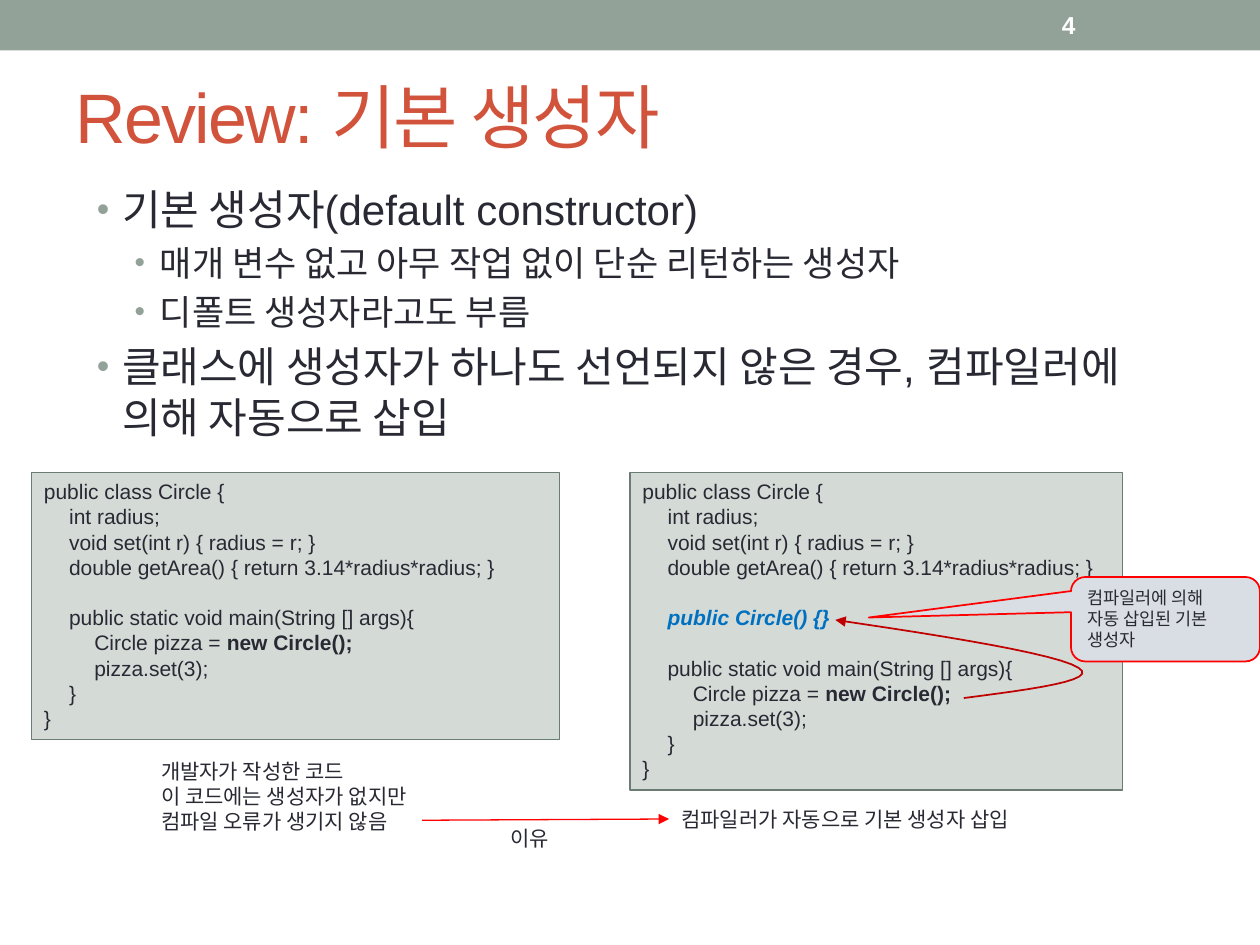
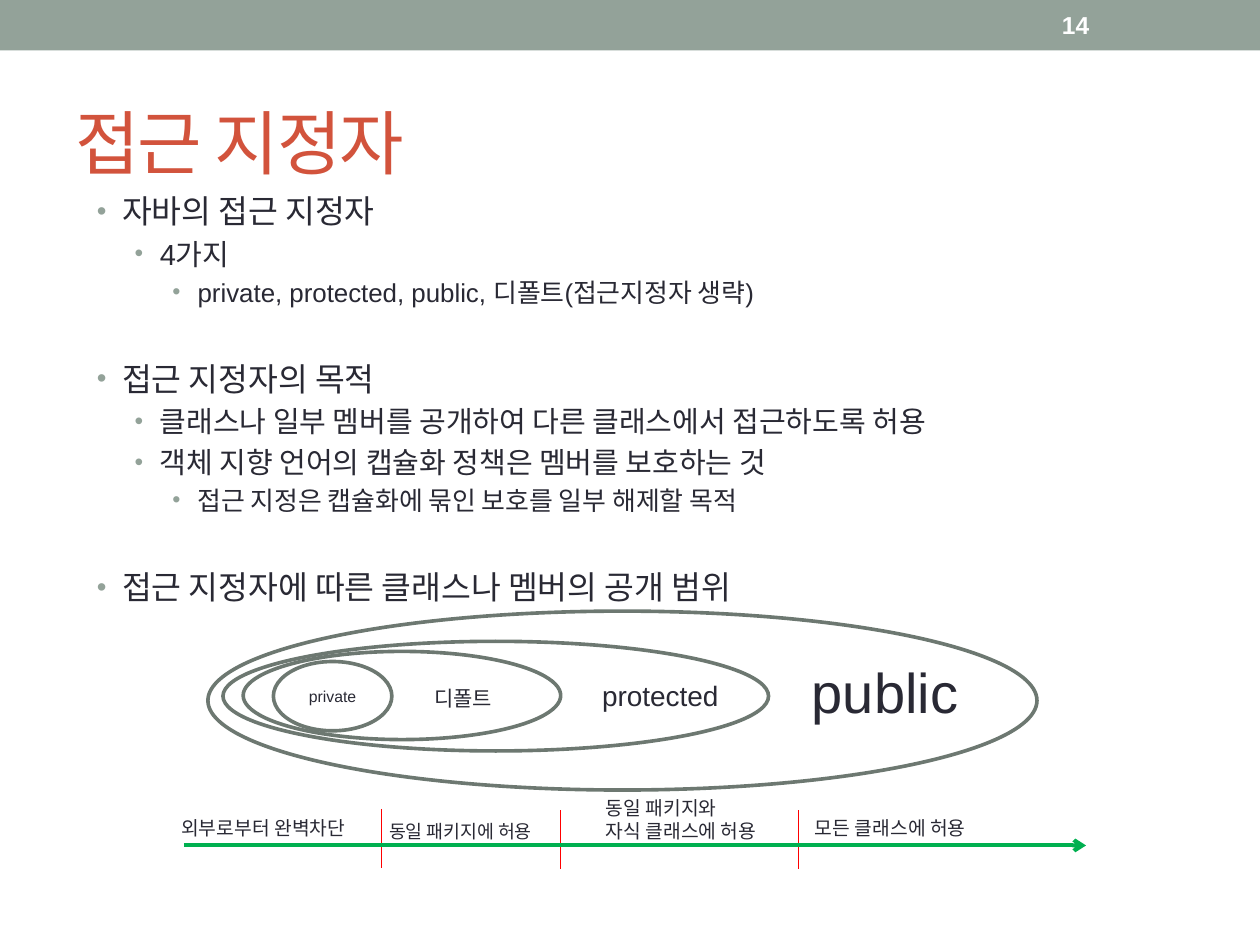
from dataclasses import dataclass

from lxml.etree import SubElement as Sub
from pptx import Presentation
from pptx.dml.color import RGBColor
from pptx.enum.shapes import MSO_CONNECTOR as Conn, MSO_SHAPE as Kind
from pptx.enum.text import MSO_ANCHOR as Anchor, MSO_AUTO_SIZE as Fit, PP_ALIGN as Align
from pptx.oxml.ns import qn
from pptx.util import Inches, Pt


@dataclass(frozen=True)
class Theme:
    font: str = "Arial"
    ink: str = "292934"
    title: str = "D2533C"
    band: str = "93A299"
    white: str = "FFFFFF"
    code: str = "D4DAD6"
    edge: str = "6B7D72"
    ring: str = "6D7871"
    note: str = "D9DEE4"
    red: str = "FF0000"
    dark: str = "C00000"
    blue: str = "0070C0"
    green: str = "00B050"
    head: float = 40
    num: float = 14
    text: float = 12
    small: float = 11
    tiny: float = 10
    lead: float = 1.2
    wide: tuple = (24, 20)
    dense: tuple = (18.5, 16.6, 14.8)


T = Theme()

# Code lines: depth, plain text, bold text, blank line above
FIELDS = [
    (0, "public class Circle {", "", False),
    (1, "int radius;", "", False),
    (1, "void set(int r) { radius = r; }", "", False),
    (1, "double getArea() { return 3.14*radius*radius; }", "", False),
]
MADE = [(1, "", "public Circle() {}", True)]
MAIN = [
    (1, "public static void main(String [] args){", "", True),
    (2, "Circle pizza = ", "new Circle();", False),
    (2, "pizza.set(3);", "", False),
    (1, "}", "", False),
    (0, "}", "", False),
]

# Bullets: level, text, blank line above
MAKER = [
    (0, "기본 생성자(default constructor)", False),
    (1, "매개 변수 없고 아무 작업 없이 단순 리턴하는 생성자", False),
    (1, "디폴트 생성자라고도 부름", False),
    (0, "클래스에 생성자가 하나도 선언되지 않은 경우, 컴파일러에 의해 자동으로 삽입", False),
]
ACCESS = [
    (0, "자바의 접근 지정자", False),
    (1, "4가지", False),
    (2, "private, protected, public, 디폴트(접근지정자 생략)", False),
    (0, "접근 지정자의 목적", True),
    (1, "클래스나 일부 멤버를 공개하여 다른 클래스에서 접근하도록 허용", False),
    (1, "객체 지향 언어의 캡슐화 정책은 멤버를 보호하는 것", False),
    (2, "접근 지정은 캡슐화에 묶인 보호를 일부 해제할 목적", False),
    (0, "접근 지정자에 따른 클래스나 멤버의 공개 범위", True),
]

RINGS = [
    (2.17, 5.25, 0.94, 0.55),
    (1.93, 5.17, 2.52, 0.7),
    (1.77, 5.09, 4.33, 0.87),
    (1.65, 4.85, 6.58, 1.42),
]
NAMES = [
    ((3.32, 5.39, 0.71, 0.3), "디폴트", 12),
    ((4.65, 5.34, 1.18, 0.37), "protected", 16),
    ((6.31, 5.17, 1.43, 0.64), "public", 32),
]
SCOPES = [
    ((1.34, 6.43, 1.64, 0.29), ["외부로부터 완벽차단"], T.small),
    ((2.99, 6.46, 1.49, 0.28), ["동일 패키지에 허용"], 10.5),
    ((4.71, 6.27, 1.54, 0.47), ["동일 패키지와", "자식 클래스에 허용"], T.small),
    ((6.37, 6.43, 1.54, 0.29), ["모든 클래스에 허용"], T.small),
]
TICKS = [(3.03, 6.42), (4.45, 6.43), (6.34, 6.43)]


def rgb(code):
    return RGBColor.from_string(code)


def inch(nums):
    return [Inches(n) for n in nums]


def para(frame, text, size, color=T.ink, bold=None):
    """Write into the first free paragraph of the frame."""
    p = frame.paragraphs[0]
    if p.runs:
        p = frame.add_paragraph()
    if text:
        p.add_run().text = text
    p.alignment = Align.LEFT
    p.line_spacing = Pt(round(size * T.lead, 1))
    font = p.font
    font.name, font.size, font.bold = T.font, Pt(size), bold
    font.color.rgb = rgb(color)
    return p


def text_box(slide, at):
    frame = slide.shapes.add_textbox(*inch(at)).text_frame
    frame.word_wrap = True
    return frame


def label(slide, at, lines, size=T.text, align=Align.LEFT):
    """Add text whose box hugs its lines."""
    box = slide.shapes.add_textbox(*inch(at))
    frame = box.text_frame
    frame.word_wrap, frame.auto_size = False, Fit.SHAPE_TO_FIT_TEXT
    for line in lines:
        para(frame, line, size).alignment = align
    return box


def stroke(item, color, width, tip=None):
    item.line.color.rgb = rgb(color)
    item.line.width = Pt(width)
    if tip:
        Sub(item.line._get_or_add_ln(), qn("a:tailEnd"), type=tip)


def shape(slide, kind, at, fill=None, edge=None, width=0.75):
    item = slide.shapes.add_shape(kind, *inch(at))
    item.shadow.inherit = False
    if fill:
        item.fill.solid()
        item.fill.fore_color.rgb = rgb(fill)
    else:
        item.fill.background()
    if edge:
        stroke(item, edge, width)
    else:
        item.line.fill.background()
    item.text_frame.vertical_anchor = Anchor.TOP
    return item


def link(slide, start, end, color, width=0.75, tip=None):
    item = slide.shapes.add_connector(Conn.STRAIGHT, *inch(start + end))
    stroke(item, color, width, tip)
    Sub(item._element.spPr, qn("a:effectLst"))
    return item


def curve(slide, knots, color, width, tip, steps=12):
    """Draw a chain of cubic Béziers that share their end points."""
    spots = [knots[0]]
    for i in range(0, len(knots) - 1, 3):
        for n in range(1, steps + 1):
            t = n / steps
            u = 1 - t
            mix = (u ** 3, 3 * u * u * t, 3 * u * t * t, t ** 3)
            spots.append([sum(m * k[a] for m, k in zip(mix, knots[i:i + 4]))
                          for a in (0, 1)])
    spots = [inch(s) for s in spots]
    pen = slide.shapes.build_freeform(*spots[0])
    pen.add_line_segments(spots[1:], close=False)
    item = pen.convert_to_shape()
    item.shadow.inherit = False
    item.fill.background()
    stroke(item, color, width, tip)


def base(deck, title, top, num):
    """Start a slide with its band, title and number."""
    slide = deck.slides.add_slide(deck.slide_layouts[6])
    shape(slide, Kind.RECTANGLE, (0, 0, 10, 0.4), T.band)
    for at, text, size, color, bold in (
            ((0.5, top, 9, 1.08), title, T.head, T.title, None),
            ((8.33, 0.02, 1.17, 0.36), num, T.num, T.white, True)):
        frame = text_box(slide, at)
        frame.vertical_anchor = Anchor.MIDDLE
        p = para(frame, text, size, color, bold)
        if size == T.head:
            p.runs[0].font._element.set("spc", "-100")
    return slide


def bullets(slide, at, items, sizes):
    frame = text_box(slide, at)
    for level, text, gap in items:
        size = sizes[level]
        p = para(frame, text, size)
        p.level = level
        p.space_before = Pt(round(size * (0.2 + gap * (T.lead + 0.2)), 1))
        props = p._p.get_or_add_pPr()
        props.set("marL", str(Inches(0.2 + 0.3 * level)))
        props.set("indent", str(Inches(-0.2)))
        last = props.find(qn("a:defRPr"))
        tint = Sub(props, qn("a:buClr"))
        Sub(tint, qn("a:srgbClr"), val=T.band)
        Sub(props, qn("a:buSzPct"), val="90000" if level == 2 else "85000")
        Sub(props, qn("a:buFont"), typeface=T.font)
        Sub(props, qn("a:buChar"), char="•")
        props.append(last)


def code(slide, at, lines):
    frame = shape(slide, Kind.RECTANGLE, at, T.code, T.edge).text_frame
    frame.word_wrap = True
    for depth, text, strong, gap in lines:
        p = para(frame, text, T.text)
        p._p.get_or_add_pPr().set("marL", str(Inches(0.2 * depth)))
        if gap:
            p.space_before = Pt(T.text * T.lead)
        if strong:
            run = p.add_run()
            run.text, run.font.bold = strong, True
            if not text:
                run.font.italic = True
                run.font.color.rgb = rgb(T.blue)


def maker_slide(deck):
    slide = base(deck, "Review: 기본 생성자", 0.38, "4")
    bullets(slide, (0.67, 1.41, 8.92, 2.27), MAKER, T.wide)
    code(slide, (0.25, 3.75, 4.19, 2.12), FIELDS + MAIN)
    code(slide, (5, 3.75, 3.91, 2.52), FIELDS + MADE + MAIN)

    note = shape(slide, Kind.ROUNDED_RECTANGULAR_CALLOUT,
                 (8.5, 4.58, 1.5, 0.67), T.note, T.red, 1)
    for i, turn in enumerate((-1.57, -0.02, 0.17)):
        note.adjustments[i] = turn
    note.text_frame.word_wrap = True
    for line in ("컴파일러에 의해", "자동 삽입된 기본 생성자"):
        para(note.text_frame, line, T.tiny)

    label(slide, (1.18, 5.97, 2.4, 0.71),
          ["개발자가 작성한 코드", "이 코드에는 생성자가 없지만", "컴파일 오류가 생기지 않음"])
    result = label(slide, (5.31, 6.35, 3.13, 0.3), ["컴파일러가 자동으로 기본 생성자 삽입"])
    curve(slide, [(7.65, 5.54), (8.19, 5.47), (8.73, 5.4), (8.56, 5.3),
                  (8.39, 5.19), (7.51, 5.05), (6.63, 4.92)], T.dark, 1, "triangle")
    why = link(slide, (3.35, 6.51), (5.31, 6.5), T.red, tip="triangle")
    why.end_connect(result, 1)
    label(slide, (3.95, 6.5, 0.54, 0.3), ["이유"])


def access_slide(deck):
    slide = base(deck, "접근 지정자", 0.58, "14")
    bullets(slide, (0.67, 1.47, 8.92, 3.39), ACCESS, T.dense)

    rings = [shape(slide, Kind.OVAL, at, edge=T.ring, width=2.08) for at in RINGS]
    core = rings[0].text_frame
    core.vertical_anchor, core.word_wrap = Anchor.MIDDLE, False
    para(core, "private", 9).alignment = Align.CENTER
    for at, name, size in NAMES:
        label(slide, at, [name], size, Align.CENTER)

    for x, y in TICKS:
        link(slide, (x, y), (x, y + 0.47), T.red)
    for at, lines, size in SCOPES:
        label(slide, at, lines, size)
    link(slide, (1.46, 6.71), (8.62, 6.71), T.green, 2.25, "arrow")


def main():
    deck = Presentation()
    deck.slide_width, deck.slide_height = Inches(10), Inches(7.5)
    maker_slide(deck)
    access_slide(deck)
    deck.save("out.pptx")


if __name__ == "__main__":
    main()
